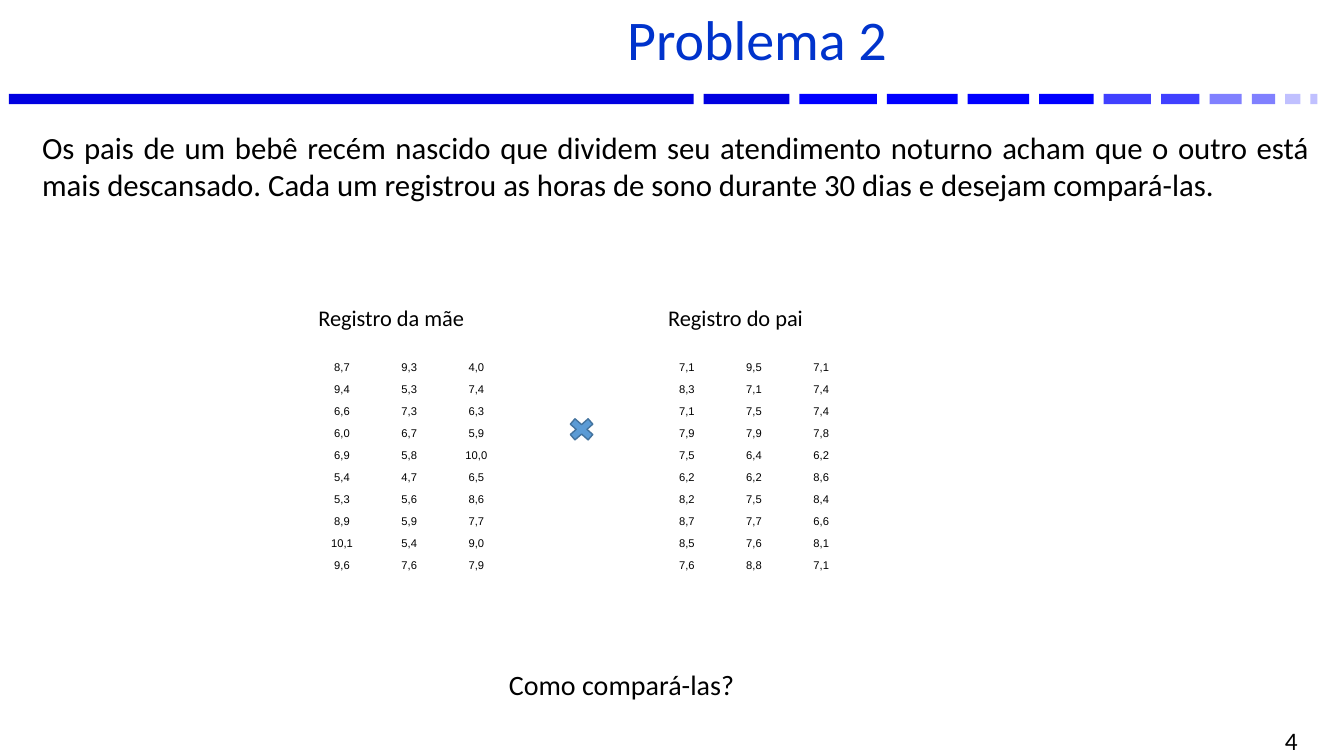
from pptx import Presentation
from pptx.dml.color import RGBColor
from pptx.enum.shapes import MSO_SHAPE
from pptx.enum.text import MSO_ANCHOR, MSO_AUTO_SIZE, PP_ALIGN
from pptx.util import Pt

COLORS = {
    "text": "000000",
    "title": "0033CC",
    "cross": "5B9BD5",
    "cross_line": "43739E",
    "navy": "0000E0",
    "blue": "0000FF",
    "medium": "4040FF",
    "light": "8080FF",
    "pale": "C0C0FF",
}

BAR_GAP = 7.2
BARS = [
    (489, "navy"), (61.2, "navy"), (55.4, "blue"), (50.4, "blue"),
    (43.9, "blue"), (38.9, "blue"), (33.8, "medium"), (27.4, "medium"),
    (23, "light"), (16.6, "light"), (10.8, "pale"), (5, "pale"),
]

MOTHER_HOURS = """
8,7 9,3 4,0
9,4 5,3 7,4
6,6 7,3 6,3
6,0 6,7 5,9
6,9 5,8 10,0
5,4 4,7 6,5
5,3 5,6 8,6
8,9 5,9 7,7
10,1 5,4 9,0
9,6 7,6 7,9
"""
FATHER_HOURS = """
7,1 9,5 7,1
8,3 7,1 7,4
7,1 7,5 7,4
7,9 7,9 7,8
7,5 6,4 6,2
6,2 6,2 8,6
8,2 7,5 8,4
8,7 7,7 6,6
8,5 7,6 8,1
7,6 8,8 7,1
"""


def color(name):
    return RGBColor.from_string(COLORS[name])


def write_text(text_frame, text, size=18, font="Calibri", ink="text",
               align=PP_ALIGN.LEFT, space_before=0, line_spacing=1.0):
    paragraph = text_frame.paragraphs[0]
    paragraph.alignment = align
    paragraph.space_before = Pt(space_before)
    paragraph.line_spacing = line_spacing
    run = paragraph.add_run()
    run.text = text
    run.font.size = Pt(size)
    run.font.name = font
    run.font.bold = False
    run.font.color.rgb = color(ink)


def add_text(slide, box, text, wrap=True, grow=False, anchor=MSO_ANCHOR.TOP, **text_format):
    text_frame = slide.shapes.add_textbox(*map(Pt, box)).text_frame
    text_frame.word_wrap = wrap
    text_frame.auto_size = MSO_AUTO_SIZE.SHAPE_TO_FIT_TEXT if grow else MSO_AUTO_SIZE.NONE
    text_frame.vertical_anchor = anchor
    write_text(text_frame, text, **text_format)


def add_filled_shape(slide, preset, box, fill, line=None):
    shape = slide.shapes.add_shape(preset, *map(Pt, box))
    shape.shadow.inherit = False
    shape.fill.solid()
    shape.fill.fore_color.rgb = color(fill)
    if line:
        shape.line.color.rgb = color(line)
        shape.line.width = Pt(1)
    else:
        shape.line.fill.background()


def place_title(slide, box, text):
    title = slide.shapes.title
    title.left, title.top, title.width, title.height = map(Pt, box)
    title.text_frame.word_wrap = True
    title.text_frame.auto_size = MSO_AUTO_SIZE.NONE
    title.text_frame.vertical_anchor = MSO_ANCHOR.MIDDLE
    write_text(title.text_frame, text, size=40, ink="title", align=PP_ALIGN.CENTER,
               space_before=6, line_spacing=0.8)


def add_divider(slide, left, top, height):
    """Draw the row of bars that shorten and fade to the right."""
    for width, fill in BARS:
        add_filled_shape(slide, MSO_SHAPE.RECTANGLE, (left, top, width, height), fill)
        left += width + BAR_GAP


def add_sleep_register(slide, box, heading, hours, heading_indent=0):
    """Place a heading and, below it, the table of hours slept."""
    left, top, width, height = box
    heading_height, table_offset = 26.6, 40.3
    add_text(slide, (left + heading_indent, top, 136, heading_height), heading,
             size=16, grow=True)

    rows = [line.split() for line in hours.split("\n") if line]
    table_box = (left, top + table_offset, width, height - table_offset)
    table = slide.shapes.add_table(len(rows), len(rows[0]), *map(Pt, table_box)).table
    table.first_row = False
    table.horz_banding = False
    for row, values in zip(table.rows, rows):
        for cell, value in zip(row.cells, values):
            cell.fill.background()
            cell.vertical_anchor = MSO_ANCHOR.MIDDLE
            cell.margin_left = cell.margin_top = cell.margin_right = Pt(0.7)
            cell.margin_bottom = Pt(0)
            write_text(cell.text_frame, value, size=8, font="Arial", align=PP_ALIGN.CENTER)


def build_problem_slide(presentation):
    slide = presentation.slides.add_slide(presentation.slide_layouts[5])
    add_divider(slide, 6.4, 67, 7.4)
    add_text(slide, (23, 88.6, 919.4, 423.4),
             "Os pais de um bebê recém nascido que dividem seu atendimento noturno "
             "acham que o outro está mais descansado. Cada um registrou as horas de "
             "sono durante 30 dias e desejam compará-las.",
             size=22, align=PP_ALIGN.JUSTIFY, space_before=10)
    place_title(slide, (139.7, 4.3, 802, 55.4), "Problema 2")
    add_text(slide, (710, 520.6, 223.9, 15.8), "4", anchor=MSO_ANCHOR.MIDDLE,
             align=PP_ALIGN.RIGHT)
    add_text(slide, (356.4, 473, 177.8, 31.7), "Como compará-las?", size=20,
             wrap=False, grow=True)
    add_sleep_register(slide, (220.3, 213.8, 144, 197.8), "Registro da mãe", MOTHER_HOURS)
    add_sleep_register(slide, (466.6, 213.8, 144, 197.8), "Registro do pai", FATHER_HOURS,
                       heading_indent=3.6)
    add_filled_shape(slide, MSO_SHAPE.MATH_MULTIPLY, (403.2, 295.9, 24.5, 21.6),
                     "cross", line="cross_line")


def main():
    presentation = Presentation()
    presentation.slide_width = Pt(960)
    presentation.slide_height = Pt(540)
    build_problem_slide(presentation)
    presentation.save("out.pptx")


if __name__ == "__main__":
    main()
